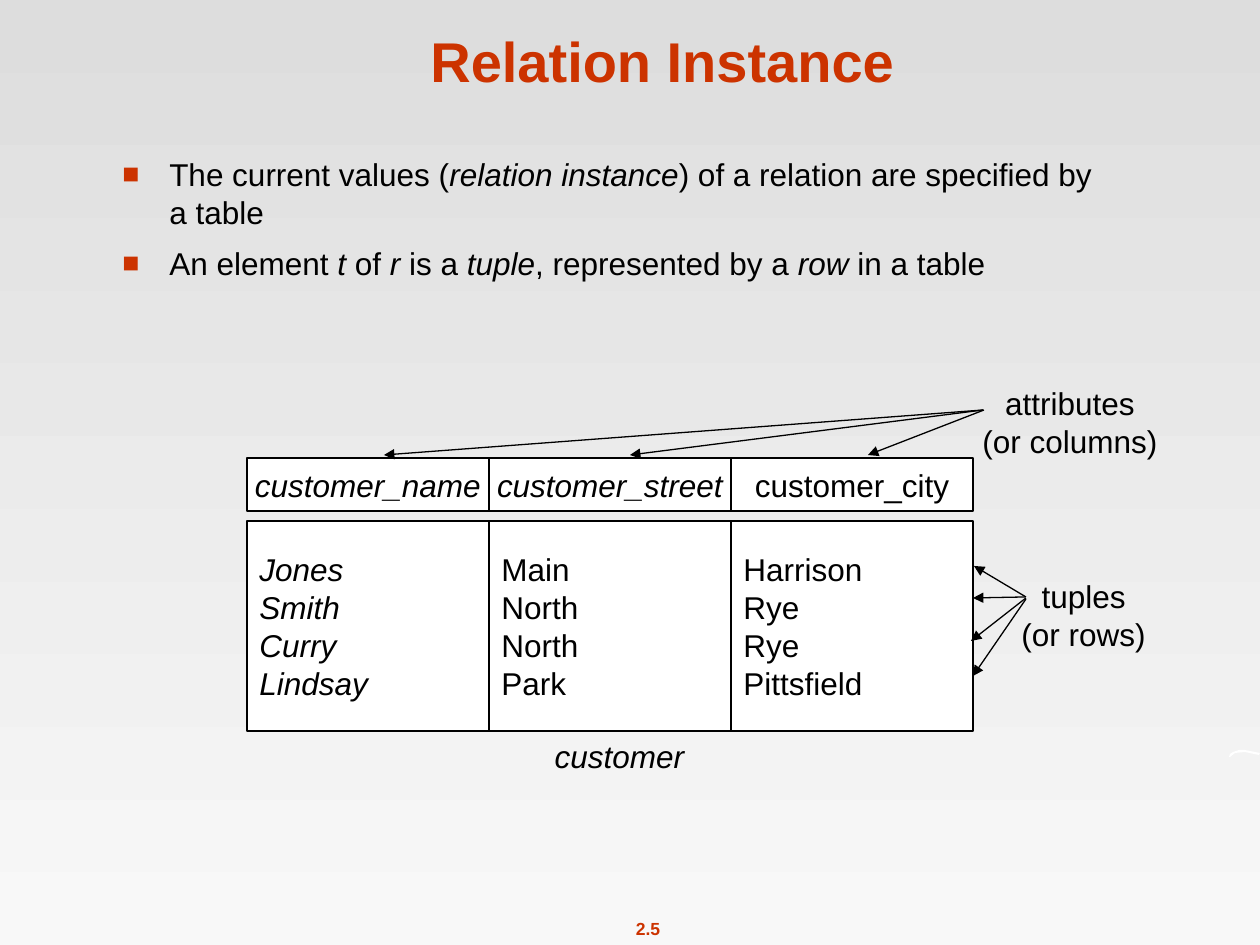
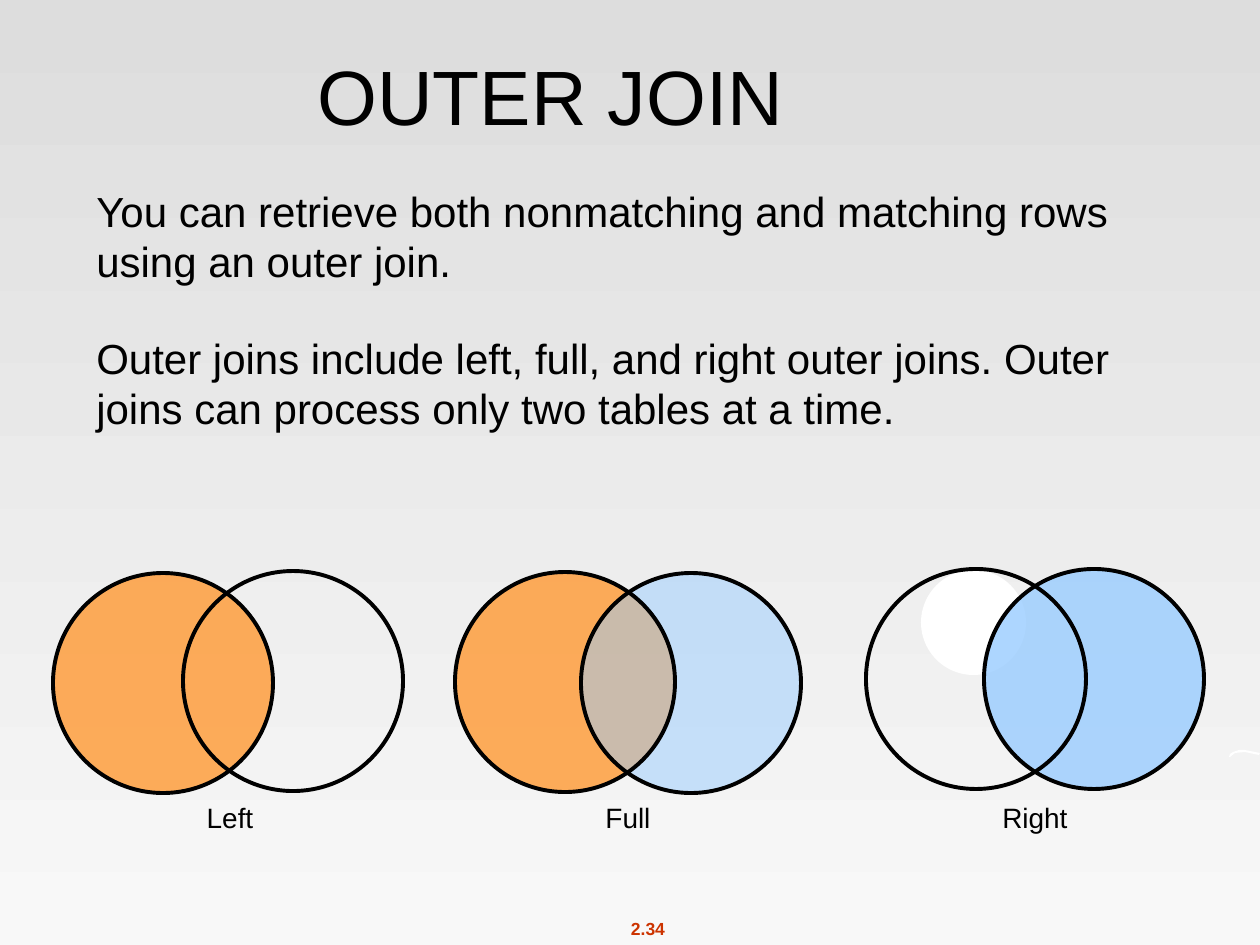
"""Build two database slides: a relation instance and the outer joins."""
from lxml import etree
from pptx import Presentation
from pptx.dml.color import RGBColor
from pptx.enum.shapes import MSO_CONNECTOR, MSO_SHAPE
from pptx.enum.text import MSO_ANCHOR, PP_ALIGN
from pptx.oxml.ns import qn
from pptx.util import Pt

PX = 914400 / 126
RED = RGBColor(0xCC, 0x33, 0x00)
BLACK = RGBColor(0x00, 0x00, 0x00)
WHITE = RGBColor(0xFF, 0xFF, 0xFF)
GRAY_TOP = RGBColor(0xDD, 0xDD, 0xDD)
GRAY_BOTTOM = RGBColor(0xF8, 0xF8, 0xF8)
ORANGE = RGBColor(0xFF, 0x99, 0x33)
BLUE = RGBColor(0x99, 0xCC, 0xFF)
FONT = "Arial"
RECTANGLE, OVAL = MSO_SHAPE.RECTANGLE, MSO_SHAPE.OVAL
STRAIGHT = MSO_CONNECTOR.STRAIGHT
LEFT, CENTER = PP_ALIGN.LEFT, PP_ALIGN.CENTER
TOP, MIDDLE, BOTTOM = MSO_ANCHOR.TOP, MSO_ANCHOR.MIDDLE, MSO_ANCHOR.BOTTOM


def add_text(slide, box, text, size, color=BLACK, bold=False, align=LEFT, anchor=TOP, wrap=True, filled=False):
    """Add a text box or a white cell; asterisks switch italics on and off."""
    place = [round(length * PX) for length in box]
    if filled:
        holder = slide.shapes.add_shape(RECTANGLE, *place)
        holder.shadow.inherit = False
        holder.fill.solid()
        holder.fill.fore_color.rgb = WHITE
        holder.line.color.rgb = BLACK
        holder.line.width = Pt(0.75)
    else:
        holder = slide.shapes.add_textbox(*place)
    frame = holder.text_frame
    frame.text = text
    frame.word_wrap = wrap
    frame.vertical_anchor = anchor
    for paragraph in frame.paragraphs:
        paragraph.alignment = align
        pieces = paragraph.text.split("*")
        paragraph.text = ""
        for number, piece in enumerate(pieces):
            if piece:
                run = paragraph.add_run()
                run.text = piece
                run.font.name = FONT
                run.font.size = Pt(size)
                run.font.bold = bold
                run.font.italic = number % 2 == 1
                run.font.color.rgb = color
    return frame


def add_circle(slide, left, top, diameter, color=None, opacity=100, outlined=True):
    """Add a circle with an optional translucent fill and outline."""
    circle = slide.shapes.add_shape(OVAL, *[round(length * PX) for length in (left, top, diameter, diameter)])
    circle.shadow.inherit = False
    if color is None:
        circle.fill.background()
    else:
        circle.fill.solid()
        circle.fill.fore_color.rgb = color
        tint = circle.fill._xPr.find(qn("a:solidFill"))[0]
        etree.SubElement(tint, qn("a:alpha"), val=str(opacity * 1000))
    if outlined:
        circle.line.color.rgb = BLACK
        circle.line.width = Pt(2.25)
    else:
        circle.line.fill.background()


deck = Presentation()
deck.slide_width = round(1260 * PX)
deck.slide_height = round(945 * PX)
SWOOSH = [(1229, 757), (1230, 754), (1233, 752), (1239, 750), (1245, 750), (1260, 753),
          (1259, 755), (1254, 754), (1245, 752), (1235, 753), (1230, 757)]

pages = []
for page_number in ("2.5", "2.34"):
    page = deck.slides.add_slide(deck.slide_layouts[6])
    backdrop = page.background.fill
    backdrop.gradient()
    backdrop.gradient_angle = 270
    for stop, color in zip(backdrop.gradient_stops, (GRAY_TOP, GRAY_BOTTOM)):
        stop.color.rgb = color
    add_text(page, (586, 912, 124, 34), page_number, 10, RED, bold=True, align=CENTER)
    outline = page.shapes.build_freeform(*SWOOSH[0], scale=PX)
    outline.add_line_segments(SWOOSH[1:], close=True)
    swoosh = outline.convert_to_shape()
    swoosh.shadow.inherit = False
    swoosh.fill.solid()
    swoosh.fill.fore_color.rgb = WHITE
    swoosh.line.fill.background()
    pages.append(page)
relation_page, join_page = pages

add_text(relation_page, (106, 15, 1113, 85), "Relation Instance", 32, RED, bold=True, align=CENTER, anchor=BOTTOM)
points = add_text(
    relation_page, (110, 149, 1020, 272),
    "The current values (*relation instance*) of a relation are specified by a table\n"
    "An element *t* of *r* is a *tuple*, represented by a *row *in a table", 18)
for point in points.paragraphs:
    properties = point._p.get_or_add_pPr()
    properties.set("marL", str(round(47 * PX)))
    properties.set("indent", str(round(-47 * PX)))
    bullet_color = etree.SubElement(properties, qn("a:buClr"))
    etree.SubElement(bullet_color, qn("a:srgbClr"), val=str(RED))
    etree.SubElement(properties, qn("a:buSzPct"), val="90000")
    etree.SubElement(properties, qn("a:buFont"), typeface=FONT)
    etree.SubElement(properties, qn("a:buChar"), char="■")
points.paragraphs[1].space_before = Pt(7.5)

COLUMN_LEFT, COLUMN_WIDTH = 247, 242
customer_columns = [
    ("*customer_name*", ("*Jones*", "*Smith*", "*Curry*", "*Lindsay*")),
    ("*customer_street*", ("Main", "North", "North", "Park")),
    ("customer_city", ("Harrison", "Rye", "Rye", "Pittsfield")),
]
for index, (attribute, values) in enumerate(customer_columns):
    left = COLUMN_LEFT + index * COLUMN_WIDTH
    add_text(relation_page, (left, 521, COLUMN_WIDTH, 210), "\n".join(values), 18, anchor=MIDDLE, filled=True)
    add_text(relation_page, (left, 458, COLUMN_WIDTH, 53), attribute, 18,
             align=CENTER, anchor=MIDDLE, wrap=False, filled=True)

for box, label in [
    ((542, 731, 155, 50), "*customer*"),
    ((970, 378, 200, 88), "attributes\n(or columns)"),
    ((1009, 571, 149, 88), "tuples\n(or rows)"),
]:
    add_text(relation_page, box, label, 18, align=CENTER, wrap=False)

for ends in [
    (983, 410, 384, 455), (983, 410, 630, 455), (984, 410, 868, 455),
    (1026, 597, 974, 566), (1025, 597, 973, 598), (1026, 598, 971, 641), (1026, 599, 973, 676),
]:
    arrow = relation_page.shapes.add_connector(STRAIGHT, *[round(length * PX) for length in ends])
    arrow.line.color.rgb = BLACK
    arrow.line.width = Pt(0.75)
    etree.SubElement(arrow.line._get_or_add_ln(), qn("a:tailEnd"), type="triangle")
    etree.SubElement(arrow._element.spPr, qn("a:effectLst"))

explanation = add_text(
    join_page, (84, 179, 1081, 410),
    "You can retrieve both nonmatching and matching rows using an outer join.\n"
    "Outer joins include left, full, and right outer joins. "
    "Outer joins can process only two tables at a time.", 24)
explanation.paragraphs[1].space_before = Pt(26.5)
add_text(join_page, (305, 42, 525, 106), "OUTER JOIN", 44)

DIAMETER = 220
add_circle(join_page, 455, 573, DIAMETER, ORANGE, 80, outlined=False)
add_circle(join_page, 581, 573, DIAMETER, BLUE, 50)
add_circle(join_page, 455, 572, DIAMETER)
add_circle(join_page, 921, 570, 105, WHITE, outlined=False)
add_circle(join_page, 984, 569, DIAMETER, BLUE, 80)
add_circle(join_page, 866, 569, DIAMETER)
add_circle(join_page, 53, 573, DIAMETER, ORANGE, 80, outlined=False)
add_circle(join_page, 183, 571, DIAMETER)
add_circle(join_page, 53, 573, DIAMETER)

CAPTION_WIDTH = 100
for middle, join_kind in [(230, "Left"), (628, "Full"), (1035, "Right")]:
    caption_box = (middle - CAPTION_WIDTH // 2, 801, CAPTION_WIDTH, 34)
    caption = add_text(join_page, caption_box, join_kind, 16, align=CENTER)
    caption.margin_left = caption.margin_right = caption.margin_top = caption.margin_bottom = 0

deck.save("out.pptx")
